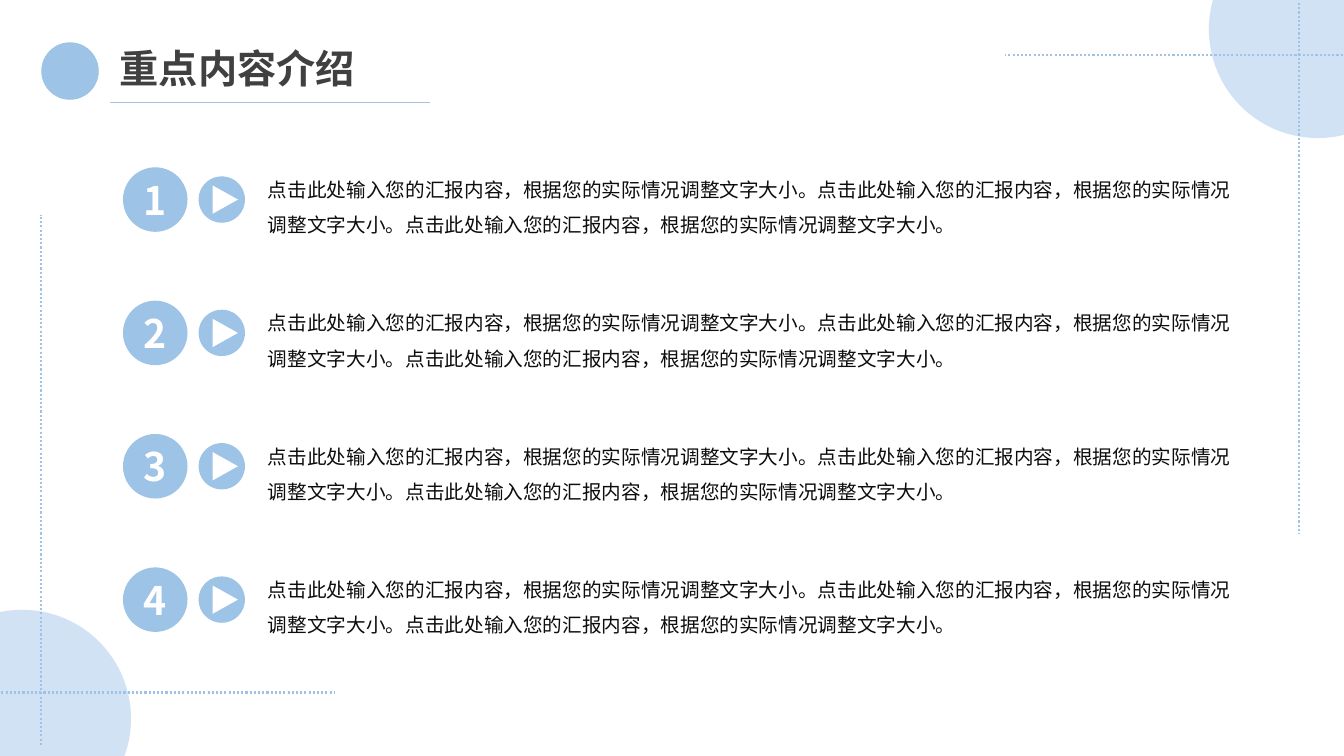
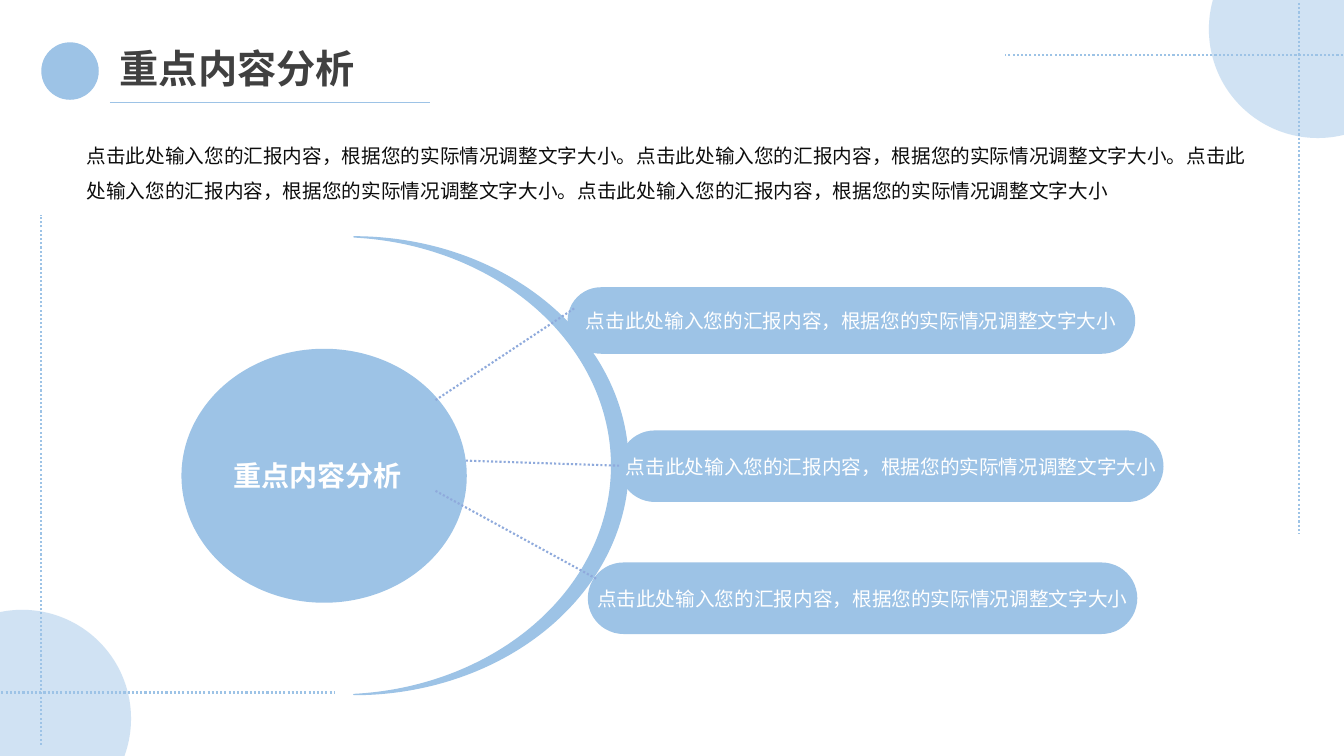
from dataclasses import dataclass

from pptx import Presentation
from pptx.dml.color import RGBColor
from pptx.enum.dml import MSO_LINE
from pptx.enum.shapes import MSO_CONNECTOR, MSO_SHAPE
from pptx.enum.text import MSO_ANCHOR, MSO_AUTO_SIZE, PP_ALIGN
from pptx.oxml.ns import qn
from pptx.util import Inches, Pt
from lxml import etree

OVAL, PILL, MOON = MSO_SHAPE.OVAL, MSO_SHAPE.ROUNDED_RECTANGLE, MSO_SHAPE.MOON
STRAIGHT = MSO_CONNECTOR.STRAIGHT
DOTTED = MSO_LINE.ROUND_DOT
MIDDLE = MSO_ANCHOR.MIDDLE
GROW = MSO_AUTO_SIZE.SHAPE_TO_FIT_TEXT
LEFT, CENTER, JUSTIFY = PP_ALIGN.LEFT, PP_ALIGN.CENTER, PP_ALIGN.JUSTIFY


@dataclass(frozen=True)
class Theme:
    font: str = "Noto Sans CJK SC"
    accent: str = "9DC3E6"
    pale: str = "BDD7EE"
    pale_opacity: int = 70
    spoke: str = "8FAADC"
    title: str = "404040"
    body: str = "0D0D0D"
    white: str = "FFFFFF"
    title_size: int = 28
    hub_size: int = 20
    body_size: int = 14
    dotted_width: float = 1.5
    rule_width: float = 0.5


THEME = Theme()
TEXT_STYLES = {
    "title": {"size": THEME.title_size, "color": THEME.title, "bold": True},
    "number": {"size": THEME.title_size, "color": THEME.white, "bold": True},
    "hub": {"size": THEME.hub_size, "color": THEME.white, "bold": True},
    "label": {"size": THEME.body_size, "color": THEME.white, "bold": False},
    "body": {"size": THEME.body_size, "color": THEME.body, "bold": False},
}
PHRASE = "点击此处输入您的汇报内容，根据您的实际情况调整文字大小"
PARAGRAPH = (PHRASE + "。") * 3


def write(text_frame, text, style, alignment=CENTER, line_spacing=None):
    format_values = TEXT_STYLES[style]
    paragraph = text_frame.paragraphs[0]
    paragraph.alignment = alignment
    if line_spacing:
        paragraph.line_spacing = line_spacing
    run = paragraph.add_run()
    run.text = text
    font_values = {"name": THEME.font, "size": Pt(format_values["size"]),
                   "bold": format_values["bold"]}
    for name, value in font_values.items():
        setattr(run.font, name, value)
    run.font.color.rgb = RGBColor.from_string(format_values["color"])
    east_asian = etree.SubElement(run.font._element, qn("a:ea"))
    east_asian.set("typeface", THEME.font)


def paint(shape, color, opacity=100):
    shape.shadow.inherit = False
    shape.fill.solid()
    shape.fill.fore_color.rgb = RGBColor.from_string(color)
    shape.line.fill.background()
    if opacity < 100:
        color_element = shape._element.spPr.find(qn("a:solidFill"))[0]
        alpha = etree.SubElement(color_element, qn("a:alpha"))
        alpha.set("val", str(opacity * 1000))


def add_filled(slide, kind, box, color=THEME.accent, opacity=100):
    shape = slide.shapes.add_shape(kind, *map(Inches, box))
    paint(shape, color, opacity)
    return shape


def add_text(slide, box, text, style, alignment=LEFT, line_spacing=None):
    text_box = slide.shapes.add_textbox(*map(Inches, box))
    text_box.text_frame.word_wrap = True
    text_box.text_frame.auto_size = GROW
    write(text_box.text_frame, text, style, alignment, line_spacing)


def add_line(slide, start, end, color=THEME.accent,
             width=THEME.dotted_width, dash=DOTTED):
    line = slide.shapes.add_connector(STRAIGHT, *map(Inches, (*start, *end)))
    line.line.color.rgb = RGBColor.from_string(color)
    line.line.width = Pt(width)
    if dash:
        line.line.dash_style = dash
    etree.SubElement(line._element.spPr, qn("a:effectLst"))


def add_corners(slide):
    """Pale discs and dotted crosses at top right and bottom left."""
    diameter = 2.16
    corners = (
        ((11.99, -0.79), (13.36, 9.97), 0.55, 12.88, (0.03, 5.29)),
        ((-0.86, 6.05), (-0.07, 3.32), 6.87, 0.41, (7.39, 2.13)),
    )
    for disc, across, y, x, down in corners:
        add_filled(slide, OVAL, (*disc, diameter, diameter),
                   THEME.pale, THEME.pale_opacity)
        add_line(slide, (across[0], y), (across[1], y))
        add_line(slide, (x, down[0]), (x, down[1]))


def add_header(slide, box, title):
    left, top, width, height = box
    text_left = left + 0.68
    add_filled(slide, OVAL, (left, top + 0.03, height, height))
    rule_top = top + 0.63
    add_line(slide, (text_left, rule_top), (left + width, rule_top),
             width=THEME.rule_width, dash=None)
    add_text(slide, (text_left, top, width - 0.68, height), title,
             "title", JUSTIFY)


def add_frame(slide, title):
    add_corners(slide)
    add_header(slide, (0.41, 0.39, 3.86, 0.57), title)


def add_play_icon(slide, left, top, diameter):
    add_filled(slide, OVAL, (left, top, diameter, diameter))
    middle = top + diameter / 2
    back, tip, half_height = left + 0.14, left + 0.39, 0.14
    builder = slide.shapes.build_freeform(
        Inches(back), Inches(middle - half_height), scale=1.0)
    builder.add_line_segments([
        (Inches(back), Inches(middle + half_height)),
        (Inches(tip), Inches(middle))])
    paint(builder.convert_to_shape(), THEME.white)


def add_numbered_row(slide, box, number):
    left, top, width, height = box
    badge = add_filled(slide, OVAL, (left, top + 0.06, 0.64, 0.64))
    badge.text_frame.vertical_anchor = MIDDLE
    write(badge.text_frame, str(number), "number")
    add_play_icon(slide, left + 0.75, top + 0.15, 0.46)
    add_text(slide, (left + 1.34, top, width - 1.34, height),
             PARAGRAPH, "body", line_spacing=1.5)


def add_radial_diagram(slide, box):
    left, top, width, height = box
    hub = add_filled(slide, OVAL, (left, top + 1.11, 2.83, 2.52))
    hub.text_frame.vertical_anchor = MIDDLE
    write(hub.text_frame, "重点内容分析", "hub", JUSTIFY)

    arc = add_filled(slide, MOON, (left + 1.71, top, 2.72, height))
    arc.rotation = 180
    arc.adjustments[0] = 0.06
    arc.line.color.rgb = RGBColor.from_string(THEME.accent)
    arc.line.width = Pt(1)

    # Offsets from the box: pill left, top, right inset, height
    pills = ((3.83, 0.5, 0.28, 0.66), (4.34, 1.92, 0, 0.71),
             (4.03, 3.23, 0.26, 0.71))
    for x, y, inset, pill_height in pills:
        pill = add_filled(slide, PILL, (left + x, top + y,
                                        width - x - inset, pill_height))
        pill.adjustments[0] = 0.5
        pill.text_frame.word_wrap = False
        pill.text_frame.vertical_anchor = MIDDLE
        write(pill.text_frame, PHRASE, "label")

    spokes = ((2.52, 1.62, 3.91, 0.7), (2.82, 2.22, 4.34, 2.27),
              (2.52, 2.52, 4.13, 3.4))
    for x1, y1, x2, y2 in spokes:
        add_line(slide, (left + x1, top + y1), (left + x2, top + y2),
                 THEME.spoke)


def build_list_slide(slide):
    first_top, pitch = 1.6, 1.323
    for index in range(4):
        add_numbered_row(slide, (1.22, first_top + index * pitch, 11.1, 0.77),
                         index + 1)
    add_frame(slide, "重点内容介绍")


def build_analysis_slide(slide):
    add_radial_diagram(slide, (1.8, 2.35, 9.74, 4.54))
    add_text(slide, (0.76, 1.26, 11.82, 0.77), PARAGRAPH + PHRASE,
             "body", line_spacing=1.5)
    add_frame(slide, "重点内容分析")


def main():
    presentation = Presentation()
    presentation.slide_width = Inches(13.33)
    presentation.slide_height = Inches(7.5)
    blank_layout = presentation.slide_layouts[6]
    for build in (build_list_slide, build_analysis_slide):
        build(presentation.slides.add_slide(blank_layout))
    presentation.save("out.pptx")


if __name__ == "__main__":
    main()
